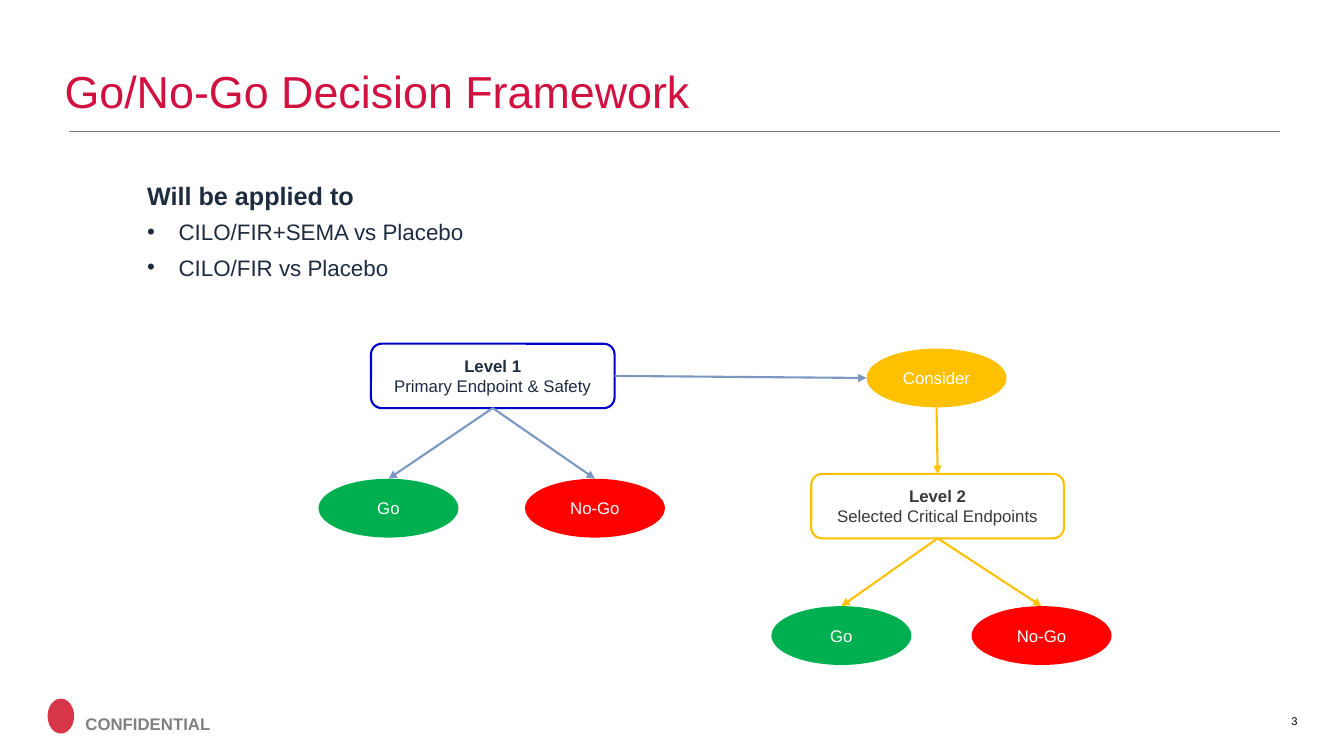
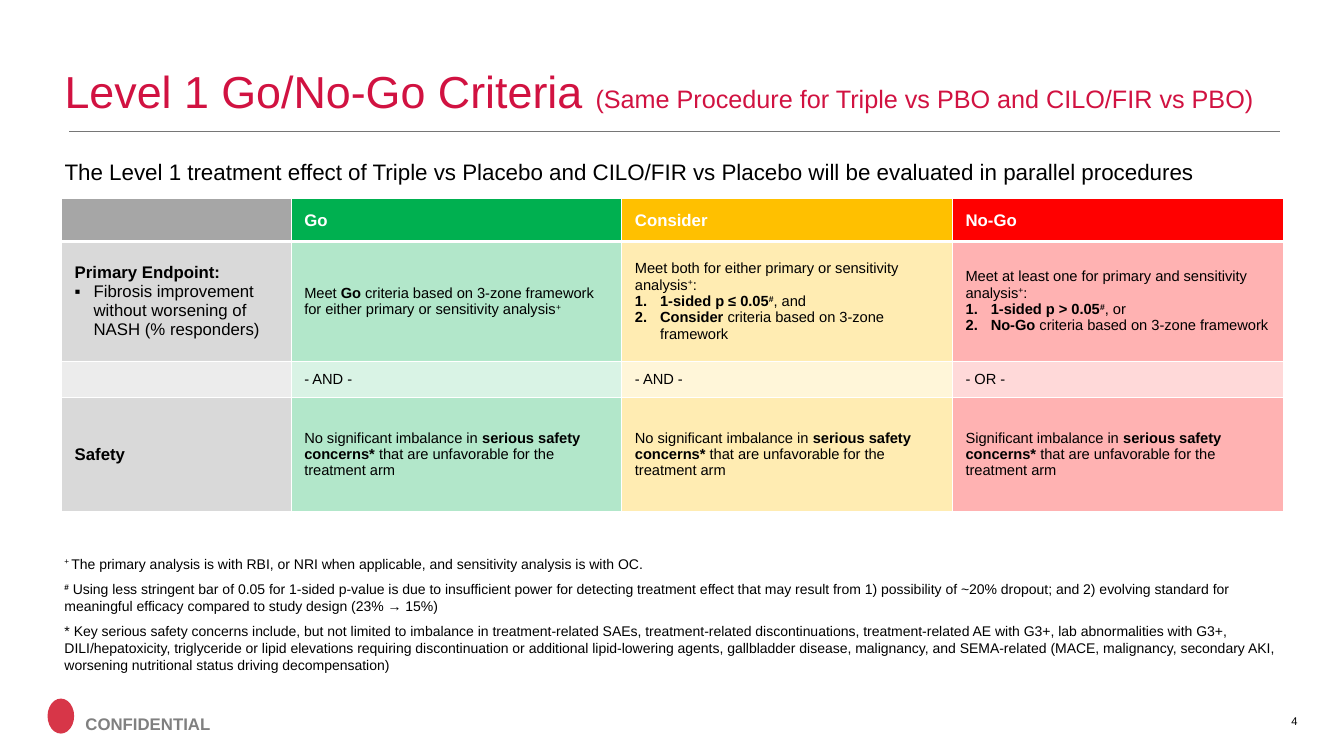
"""Build two slides on a Go/No-Go decision framework: a flow chart and a criteria table."""
import dataclasses

import lxml.etree
import pptx
import pptx.dml.color
import pptx.enum.shapes
import pptx.enum.text
import pptx.oxml.ns
import pptx.util

Pt = pptx.util.Pt
Color = pptx.dml.color.RGBColor.from_string
Shape = pptx.enum.shapes.MSO_SHAPE
Align = pptx.enum.text.PP_ALIGN
Anchor = pptx.enum.text.MSO_ANCHOR
qn = pptx.oxml.ns.qn


@dataclasses.dataclass(frozen=True)
class Theme:
    font: str = "Arial"
    red: str = "D11241"
    emblem: str = "D73648"
    rule: str = "767676"
    confidential: str = "808080"
    navy: str = "1E2C40"
    charcoal: str = "3B3838"
    blue: str = "0000CC"
    steel: str = "7B98C1"
    go: str = "00B050"
    consider: str = "FFC000"
    stop: str = "FF0000"
    grey: str = "A6A6A6"
    black: str = "000000"
    white: str = "FFFFFF"
    title: float = 32
    heading: float = 18
    body: float = 16
    label: float = 12
    criterion: float = 10.5
    note: float = 10
    number: float = 8


theme = Theme()
indents = {"•": 22.5, "▪": 13.5, "1.": 18}


def write(frame, paragraphs, color, align=Align.LEFT, anchor=Anchor.TOP, gap=0, spacing=None):
    """Fill a frame with (bullet, size, run, ...) paragraphs; a run is text or (text, marks)."""
    frame.word_wrap = True
    frame.vertical_anchor = anchor
    for index, (bullet, size, *runs) in enumerate(paragraphs):
        para = frame.add_paragraph() if index else frame.paragraphs[0]
        para.alignment = align
        if index:
            para.space_before = Pt(gap)
        if spacing:
            para.line_spacing = spacing
        if bullet:
            properties = para._p.get_or_add_pPr()
            properties.set("marL", str(Pt(indents[bullet])))
            properties.set("indent", str(-Pt(indents[bullet])))
            if bullet == "1.":
                lxml.etree.SubElement(properties, qn("a:buAutoNum"), type="arabicPeriod")
            else:
                lxml.etree.SubElement(properties, qn("a:buFont"), typeface=theme.font)
                lxml.etree.SubElement(properties, qn("a:buChar"), char=bullet)
        para.font.name = theme.font
        para.font.size = Pt(size)
        para.font.color.rgb = Color(color)
        runs = [(run, "") if isinstance(run, str) else run for run in runs]
        all_bold = all("bold" in marks for _, marks in runs)
        para.font.bold = all_bold
        for text, marks in runs:
            span = para.add_run()
            span.text = text
            if "bold" in marks and not all_bold:
                span.font.bold = True
            if "small" in marks:
                span.font.size = Pt(theme.heading)
            if "super" in marks:
                span._r.get_or_add_rPr().set("baseline", "30000")


def draw_line(page, start, end, color, width, arrow=False):
    """Draw a straight line between two points, with an arrowhead if asked."""
    line = page.shapes.add_connector(
        pptx.enum.shapes.MSO_CONNECTOR.STRAIGHT, *(int(value) for value in (*start, *end)))
    line.line.color.rgb = Color(color)
    line.line.width = Pt(width)
    if arrow:
        lxml.etree.SubElement(line.line._get_or_add_ln(), qn("a:tailEnd"), type="triangle")
    lxml.etree.SubElement(line._element.spPr, qn("a:effectLst"))
    return line


deck = pptx.Presentation()
deck.slide_width, deck.slide_height = Pt(960), Pt(540)
titles = [
    ["Go/No-Go Decision Framework"],
    ["Level 1 Go/No-Go Criteria ",
     ("(Same Procedure for Triple vs PBO and CILO/FIR vs PBO)", "small")],
]
pages = []
for number, title in enumerate(titles, start=3):
    page = deck.slides.add_slide(deck.slide_layouts[6])
    pages.append(page)
    emblem = page.shapes.add_shape(Shape.OVAL, Pt(34), Pt(499), Pt(19), Pt(25))
    emblem.shadow.inherit = False
    emblem.fill.solid()
    emblem.fill.fore_color.rgb = Color(theme.emblem)
    emblem.line.fill.background()
    draw_line(page, (Pt(49.5), Pt(94)), (Pt(914), Pt(94)), theme.rule, 1)
    box = page.shapes.add_textbox(Pt(39), Pt(26), Pt(885), Pt(62))
    write(box.text_frame, [("", theme.title, *title)], theme.red, anchor=Anchor.BOTTOM, spacing=0.9)
    box = page.shapes.add_textbox(Pt(54), Pt(506), Pt(117), Pt(22))
    write(box.text_frame, [("", theme.label, ("CONFIDENTIAL", "bold"))], theme.confidential)
    box = page.shapes.add_textbox(Pt(896.5), Pt(500.5), Pt(37.5), Pt(29))
    write(box.text_frame, [("", theme.number, str(number))], theme.black, Align.RIGHT, Anchor.MIDDLE)

framework, criteria = pages

box = framework.shapes.add_textbox(Pt(98), Pt(125), Pt(253), Pt(80))
write(box.text_frame, [
    ("", theme.heading, ("Will be applied to", "bold")),
    ("•", theme.body, "CILO/FIR+SEMA vs Placebo"),
    ("•", theme.body, "CILO/FIR vs Placebo"),
], theme.navy, gap=6)

nodes = {}
levels = [
    ("Level 1", "Primary Endpoint & Safety", 265, 245.5, 174, theme.blue, theme.navy),
    ("Level 2", "Selected Critical Endpoints", 579.5, 338.5, 180.5, theme.consider, theme.charcoal),
]
for name, scope, left, top, width, outline, ink in levels:
    level = framework.shapes.add_shape(
        Shape.ROUNDED_RECTANGLE, Pt(left), Pt(top), Pt(width), Pt(46))
    level.shadow.inherit = False
    level.fill.background()
    level.line.color.rgb = Color(outline)
    level.line.width = Pt(1.5)
    write(level.text_frame, [("", theme.label, (name, "bold")), ("", theme.label, scope)],
          ink, Align.CENTER, Anchor.MIDDLE)
    nodes[name] = level

outcomes = [
    ("Go 1", "Go", 227.5, 342, theme.go),
    ("No-Go 1", "No-Go", 375, 342, theme.stop),
    ("Consider", "Consider", 619, 249, theme.consider),
    ("Go 2", "Go", 551, 433, theme.go),
    ("No-Go 2", "No-Go", 694, 433, theme.stop),
]
for name, label, left, top, color in outcomes:
    outcome = framework.shapes.add_shape(Shape.OVAL, Pt(left), Pt(top), Pt(100), Pt(42))
    outcome.shadow.inherit = False
    outcome.fill.solid()
    outcome.fill.fore_color.rgb = Color(color)
    outcome.line.fill.background()
    write(outcome.text_frame, [("", theme.label, label)], theme.white, Align.CENTER, Anchor.MIDDLE)
    nodes[name] = outcome

sides = {"top": (0, 0.5, 0), "left": (1, 0, 0.5), "bottom": (2, 0.5, 1), "right": (3, 1, 0.5)}
arrows = [
    ("Level 1", "bottom", "Go 1", "top", theme.steel),
    ("Level 1", "bottom", "No-Go 1", "top", theme.steel),
    ("Level 1", "right", "Consider", "left", theme.steel),
    ("Consider", "bottom", "Level 2", "top", theme.consider),
    ("Level 2", "bottom", "Go 2", "top", theme.consider),
    ("Level 2", "bottom", "No-Go 2", "top", theme.consider),
]
for source, source_side, target, target_side, color in arrows:
    points = []
    for name, side in ((source, source_side), (target, target_side)):
        node = nodes[name]
        _, across, down = sides[side]
        points.append((node.left + node.width * across, node.top + node.height * down))
    arrow = draw_line(framework, *points, color, 1.5, arrow=True)
    if source.startswith("Level"):
        arrow.begin_connect(nodes[source], sides[source_side][0])
    if target_side == "top":
        arrow.end_connect(nodes[target], sides[target_side][0])

box = criteria.shapes.add_textbox(Pt(39), Pt(109.5), Pt(879), Pt(27))
write(box.text_frame, [("", theme.body, "The Level 1 treatment effect of Triple vs Placebo and "
                        "CILO/FIR vs Placebo will be evaluated in parallel procedures")], theme.black)

size = theme.criterion
plus, hash_mark = ("+", "super"), ("#", "bold super")
zones = " criteria based on 3-zone framework"
concerns = [("serious safety concerns* ", "bold"), "that are unfavorable for the treatment arm"]
rows = [
    [[]] + [[("", theme.label, (name, "bold"))] for name in ("Go", "Consider", "No-Go")],
    [
        [("", theme.label, ("Primary Endpoint:", "bold")),
         ("▪", theme.label, "Fibrosis improvement without worsening of NASH (% responders)")],
        [("", size, "Meet ", ("Go", "bold"),
          zones + " for either primary or sensitivity analysis", plus)],
        [("", size, "Meet both for either primary or sensitivity analysis", plus, ":"),
         ("1.", size, ("1-sided p ≤ 0.05", "bold"), hash_mark, ", and"),
         ("1.", size, ("Consider", "bold"), zones)],
        [("", size, "Meet at least one for primary and sensitivity analysis", plus, ":"),
         ("1.", size, ("1-sided p > 0.05", "bold"), hash_mark, ", or"),
         ("1.", size, ("No-Go", "bold"), zones)],
    ],
    [[]] + [[("", size, joint)] for joint in ("- AND -", "- AND -", "- OR -")],
    [[("", theme.label, ("Safety", "bold"))]] + [
        [("", size, opening + " imbalance in ", *concerns)]
        for opening in ("No significant", "No significant", "Significant")],
]
column_widths = [164, 236.2, 236.2, 236.2]
row_heights = [30.5, 85.5, 26, 81.5]
column_colors = [theme.grey, theme.go, theme.consider, theme.stop]
label_tints = [1, 0.43, 0.21, 0.43]
zone_tints = [1, 0.3, 0.15, 0.3]
table = criteria.shapes.add_table(
    4, 4, Pt(44), Pt(142), Pt(sum(column_widths)), Pt(sum(row_heights))).table
table.first_row = table.horz_banding = False
for column, width in zip(table.columns, column_widths):
    column.width = Pt(width)
for row_index, (row, height) in enumerate(zip(rows, row_heights)):
    table.rows[row_index].height = Pt(height)
    for column_index, paragraphs in enumerate(row):
        cell = table.cell(row_index, column_index)
        cell.margin_left = cell.margin_right = Pt(9.4)
        cell.margin_top = cell.margin_bottom = Pt(5 if paragraphs else 0)
        cell.vertical_anchor = Anchor.MIDDLE
        thickness = {"a:lnL": 1, "a:lnR": 1, "a:lnT": 3 if row_index == 1 else 1,
                     "a:lnB": 3 if row_index == 0 else 1}
        for edge, points in thickness.items():
            border = lxml.etree.SubElement(
                cell._tc.get_or_add_tcPr(), qn(edge), w=str(Pt(points)))
            paint = lxml.etree.SubElement(border, qn("a:solidFill"))
            lxml.etree.SubElement(paint, qn("a:srgbClr"), val=theme.white)
        tint = (zone_tints if column_index else label_tints)[row_index]
        shade = [round(255 - (255 - part) * tint) for part in Color(column_colors[column_index])]
        cell.fill.solid()
        cell.fill.fore_color.rgb = pptx.dml.color.RGBColor(*shade)
        write(cell.text_frame, paragraphs, theme.black if row_index else theme.white,
              anchor=Anchor.MIDDLE)

box = criteria.shapes.add_textbox(Pt(39), Pt(393), Pt(878), Pt(92))
write(box.text_frame, [
    ("", theme.note, ("+ ", "super"), "The primary analysis is with RBI, or NRI when applicable, "
     "and sensitivity analysis is with OC."),
    ("", theme.note, hash_mark, " Using less stringent bar of 0.05 for 1-sided p-value is due to "
     "insufficient power for detecting treatment effect that may result from 1) possibility of "
     "~20% dropout; and 2) evolving standard for meaningful efficacy compared to study design "
     "(23% → 15%)"),
    ("", theme.note, "* Key serious safety concerns include, but not limited to imbalance in "
     "treatment-related SAEs, treatment-related discontinuations, treatment-related AE with G3+, "
     "lab abnormalities with G3+, DILI/hepatoxicity, triglyceride or lipid elevations requiring "
     "discontinuation or additional lipid-lowering agents, gallbladder disease, malignancy, and "
     "SEMA-related (MACE, malignancy, secondary AKI, worsening nutritional status driving "
     "decompensation)"),
], theme.black, gap=6)

deck.save("out.pptx")
